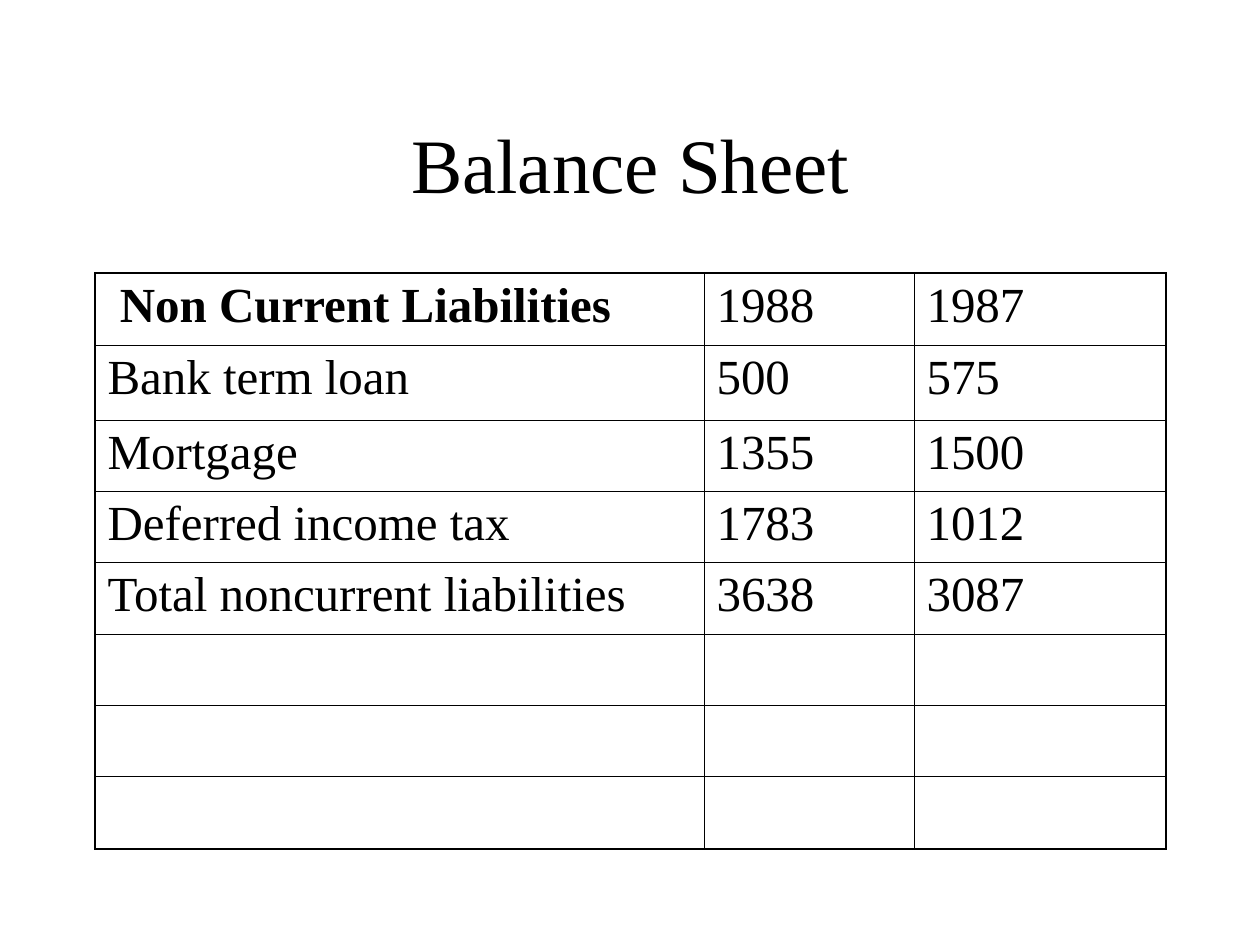
import pptx
import pptx.util
import pptx.dml.color
import pptx.enum.text
import pptx.oxml
import pptx.oxml.ns
import lxml.etree

PX = 914400 // 126
COLORS = {"ink": "000000", "paper": "FFFFFF"}
FONT = "Times New Roman"
OUTER_LINE, INNER_LINE = 1.08, 0.45

COLUMN_WIDTHS = [609, 210, 252]
ROW_HEIGHTS = [72, 75, 71, 71, 72, 71, 72, 72]
LIABILITIES = [
    (" Non Current Liabilities", "1988", "1987"),
    ("Bank term loan", "500", "575"),
    ("Mortgage", "1355", "1500"),
    ("Deferred income tax", "1783", "1012"),
    ("Total noncurrent liabilities", "3638", "3087"),
]


def px(length):
    return pptx.util.Emu(length * PX)


def rgb(name):
    return pptx.dml.color.RGBColor.from_string(COLORS[name])


def write_text(frame, text, size, bold=False, align=pptx.enum.text.PP_ALIGN.LEFT, before=0):
    paragraph = frame.paragraphs[0]
    paragraph.alignment = align
    paragraph.space_before = pptx.util.Pt(before)
    run = paragraph.add_run()
    run.text = text
    run.font.name = FONT
    run.font.size = pptx.util.Pt(size)
    run.font.bold = bold
    run.font.color.rgb = rgb("ink")


def set_borders(cell, widths):
    """Draw the sides of a cell; widths maps L, R, T, B to points."""
    properties = cell._tc.get_or_add_tcPr()
    for position, side in enumerate("LRTB"):
        line = lxml.etree.Element(pptx.oxml.ns.qn(f"a:ln{side}"))
        line.set("w", str(pptx.util.Pt(widths[side])))
        fill = lxml.etree.SubElement(line, pptx.oxml.ns.qn("a:solidFill"))
        color = lxml.etree.SubElement(fill, pptx.oxml.ns.qn("a:srgbClr"))
        color.set("val", COLORS["ink"])
        properties.insert(position, line)


def add_title(slide, text):
    title = slide.shapes.title
    title.left, title.top, title.width, title.height = map(px, (95, 84, 1071, 158))
    title.text_frame.vertical_anchor = pptx.enum.text.MSO_ANCHOR.MIDDLE
    write_text(title.text_frame, text, 44, align=pptx.enum.text.PP_ALIGN.CENTER)


def add_liabilities_table(slide):
    row_count, column_count = len(ROW_HEIGHTS), len(COLUMN_WIDTHS)
    table = slide.shapes.add_table(
        row_count, column_count, px(95), px(273),
        px(sum(COLUMN_WIDTHS)), px(sum(ROW_HEIGHTS))).table
    table.first_row = table.horz_banding = False
    for column, width in zip(table.columns, COLUMN_WIDTHS):
        column.width = px(width)
    for row, height in zip(table.rows, ROW_HEIGHTS):
        row.height = px(height)

    for r in range(row_count):
        for c in range(column_count):
            cell = table.cell(r, c)
            cell.fill.background()
            # The outer frame is heavier than the inner grid
            on_frame = {"L": c == 0, "R": c == column_count - 1,
                        "T": r == 0, "B": r == row_count - 1}
            set_borders(cell, {side: OUTER_LINE if outer else INNER_LINE
                               for side, outer in on_frame.items()})
            # The last rows stay empty
            if r < len(LIABILITIES):
                write_text(cell.text_frame, LIABILITIES[r][c], 28,
                           bold=(r == 0 and c == 0), before=7)


def main():
    deck = pptx.Presentation()
    deck.slide_width, deck.slide_height = px(1260), px(945)
    slide = deck.slides.add_slide(deck.slide_layouts[5])
    slide.background.fill.solid()
    slide.background.fill.fore_color.rgb = rgb("paper")
    add_title(slide, "Balance Sheet")
    add_liabilities_table(slide)
    deck.save("out.pptx")


if __name__ == "__main__":
    main()
